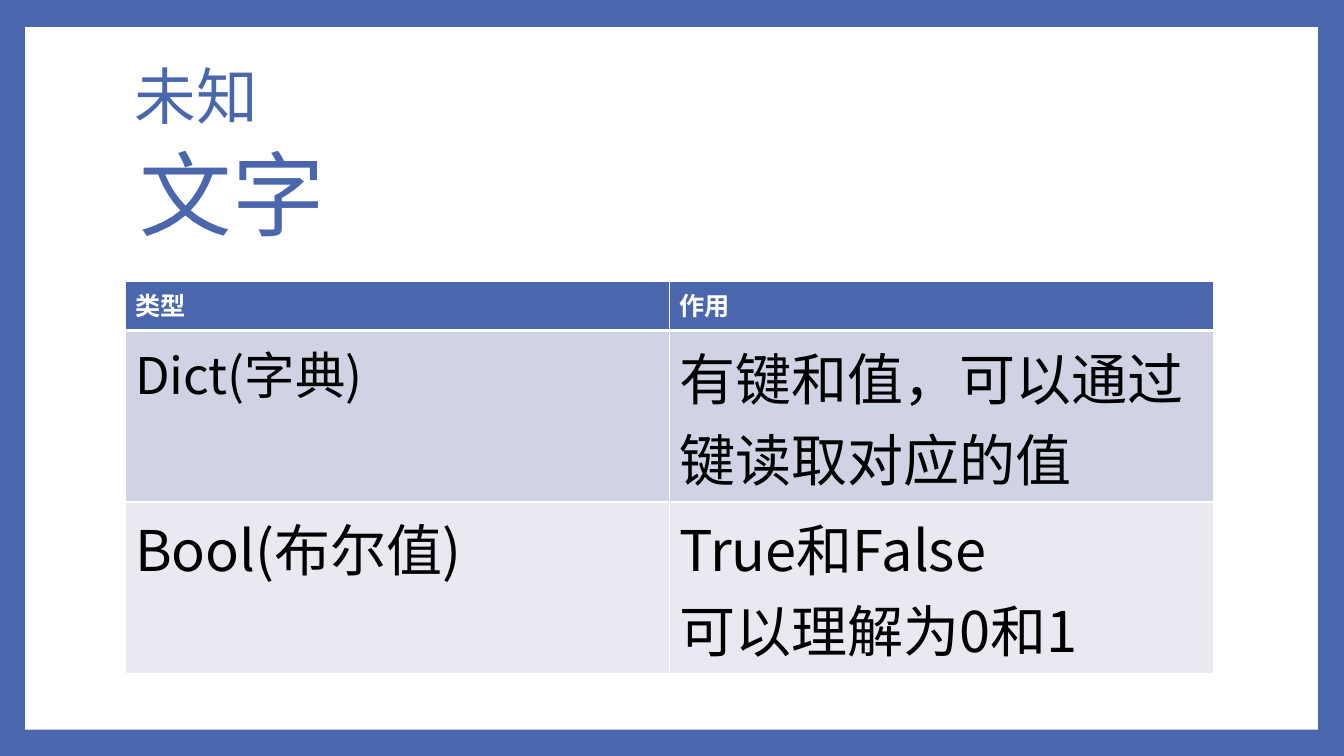
from lxml import etree
from pptx import Presentation
from pptx import util as u
from pptx.dml.color import RGBColor
from pptx.enum import shapes, text
from pptx.oxml import ns

FONT = "Noto Sans CJK SC"
BLUE, WHITE, BLACK = "4A66AC", "FFFFFF", "000000"


def paint(fill, tone):
    fill.solid()
    fill.fore_color.rgb = RGBColor.from_string(tone)


def write(frame, words, size, tone, bold=False):
    """Fill a text frame and set Latin and East Asian fonts on its runs."""
    frame.text = words
    for para in frame.paragraphs:
        for run in para.runs:
            font = run.font
            font.name, font.size, font.bold = FONT, u.Pt(size), bold
            paint(font.fill, tone)
            east = etree.SubElement(run._r.get_or_add_rPr(), ns.qn("a:ea"))
            east.set("typeface", FONT)
            latin = font._element.find(ns.qn("a:latin"))
            latin.addnext(east)


deck = Presentation()
deck.slide_width, deck.slide_height = u.Inches(13.33), u.Inches(7.5)
slide = deck.slides.add_slide(deck.slide_layouts[6])
paint(slide.background.fill, BLUE)

# White panel inside the blue frame
panel = slide.shapes.add_shape(
    shapes.MSO_SHAPE.RECTANGLE,
    u.Inches(0.25), u.Inches(0.27), u.Inches(12.82), u.Inches(6.97))
panel.shadow.inherit = False
paint(panel.fill, WHITE)
panel.line.fill.background()

# Headings: words, size, left, top, width, height, anchor, line spacing
heads = [
    ("未知", 44, 1.24, 0.25, 10.8, 1.48, text.MSO_ANCHOR.MIDDLE, 0.9),
    ("文字", 66, 1.29, 1.31, 7.83, 1.21, text.MSO_ANCHOR.TOP, 1.0),
]
for words, size, left, top, width, height, anchor, space in heads:
    box = slide.shapes.add_textbox(*map(u.Inches, (left, top, width, height)))
    frame = box.text_frame
    frame.word_wrap = True
    frame.vertical_anchor = anchor
    write(frame, words, size, BLUE)
    frame.paragraphs[0].line_spacing = space

# Table of types: row height, fill, text colour, then (words, size) per cell
TALL = 1.7
rows = [
    (0.49, BLUE, WHITE, [("类型", 18), ("作用", 18)]),
    (TALL, "D0D3E3", BLACK,
     [("Dict(字典)", 36), ("有键和值，可以通过键读取对应的值", 40)]),
    (TALL, "E9EAF1", BLACK,
     [("Bool(布尔值)", 40), ("True和False\n可以理解为0和1", 40)]),
]
table = slide.shapes.add_table(
    len(rows), 2, u.Inches(1.24), u.Inches(2.79),
    u.Inches(10.8), u.Inches(sum(row[0] for row in rows))).table

for r, (height, fill, tone, cells) in enumerate(rows):
    table.rows[r].height = u.Inches(height)
    for c, (words, size) in enumerate(cells):
        cell = table.cell(r, c)
        write(cell.text_frame, words, size, tone, bold=r == 0)
        paint(cell.fill, fill)
        props = cell._tc.get_or_add_tcPr()
        for i, side in enumerate("LRTB"):
            thick = 3 if (r, side) in ((0, "B"), (1, "T")) else 1
            edge = etree.Element(ns.qn("a:ln" + side), w=str(u.Pt(thick)))
            solid = etree.SubElement(edge, ns.qn("a:solidFill"))
            etree.SubElement(solid, ns.qn("a:srgbClr"), val=WHITE)
            props.insert(i, edge)

deck.save("out.pptx")
